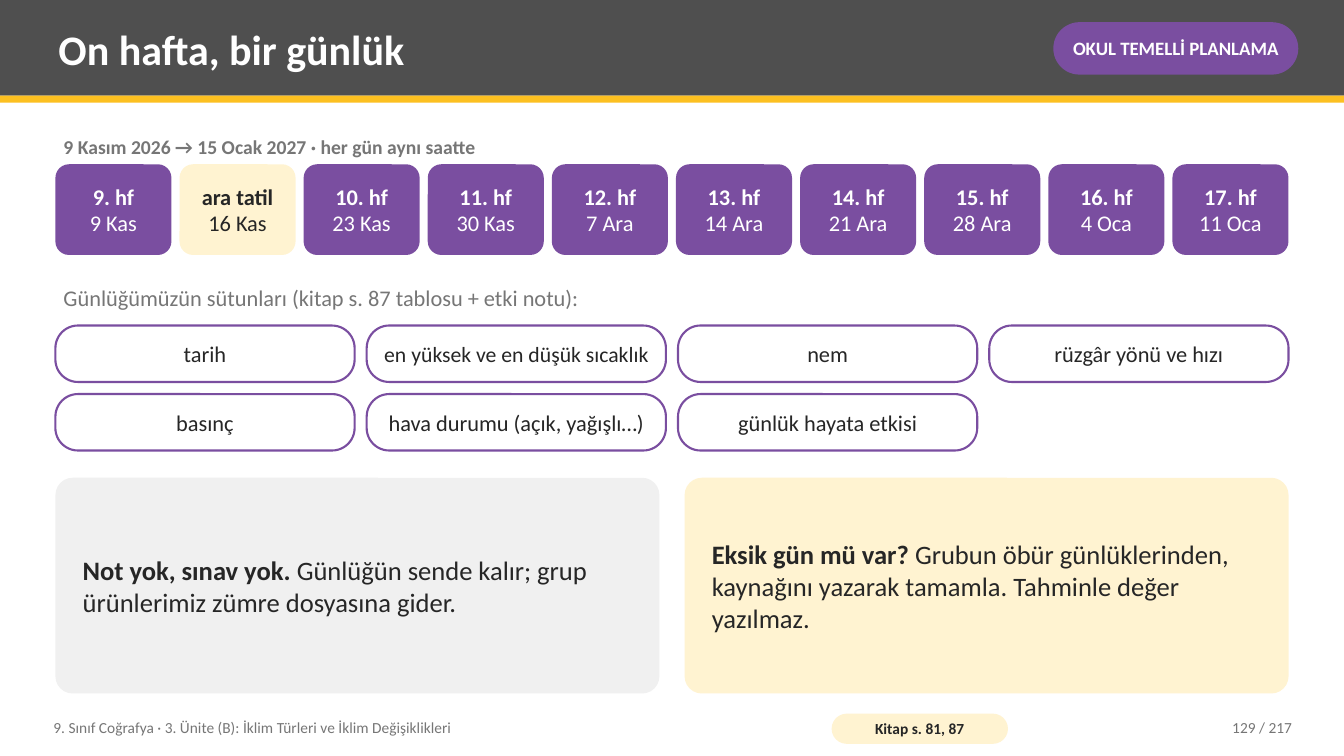
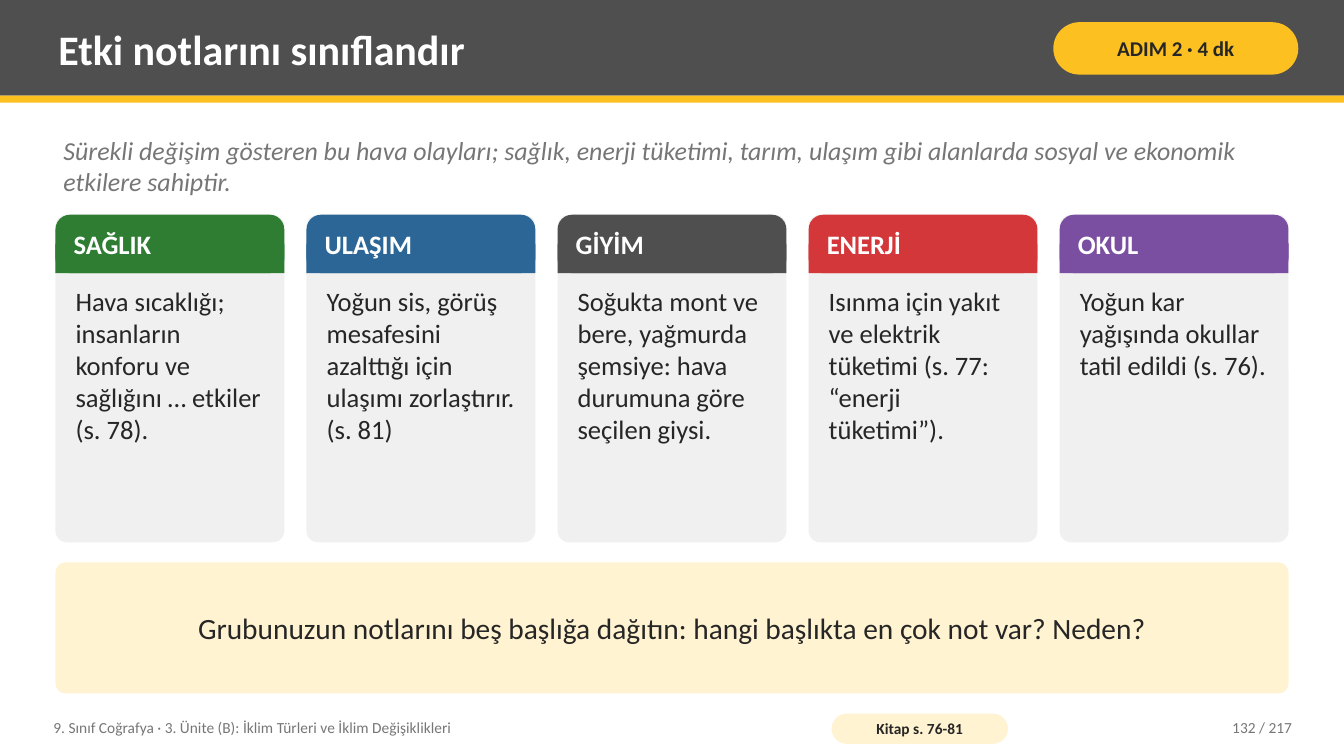
from dataclasses import dataclass

import pptx
import pptx.dml.color
import pptx.enum.shapes
import pptx.enum.text
import pptx.util

Pt = pptx.util.Pt
SHAPE = pptx.enum.shapes.MSO_SHAPE
ALIGN = pptx.enum.text.PP_ALIGN
ANCHOR = pptx.enum.text.MSO_ANCHOR


@dataclass(frozen=True)
class Theme:
    font: str = "Calibri"
    band: str = "4F4F4F"
    accent: str = "FCC021"
    purple: str = "7A4EA0"
    green: str = "2E7D32"
    blue: str = "2C6696"
    red: str = "D3373A"
    cream: str = "FFF3D1"
    panel: str = "F0F0F0"
    white: str = "FFFFFF"
    ink: str = "262626"
    muted: str = "767676"
    title: float = 30
    question: float = 21
    body: float = 19
    quote: float = 18.5
    label: float = 16
    tight_label: float = 15.5
    badge: float = 15
    tight_badge: float = 13.5
    dates: float = 14
    footer: float = 11


T = Theme()
WIDTH, HEIGHT = 960, 540
LEFT = 39.6
CONTENT = WIDTH - 2 * LEFT
TEXT_INSETS = (5.76, 2.88)
CARD_INSETS = (15.84, 5.76)


def write(shape, paragraphs, size, color, align=ALIGN.LEFT, anchor=ANCHOR.MIDDLE,
          insets=TEXT_INSETS):
    """Each paragraph is a list of (text, style) runs; style holds 'b' and/or 'i'."""
    frame = shape.text_frame
    frame.word_wrap = True
    frame.auto_size = pptx.enum.text.MSO_AUTO_SIZE.NONE
    frame.vertical_anchor = anchor
    frame.margin_left = frame.margin_right = Pt(insets[0])
    frame.margin_top = frame.margin_bottom = Pt(insets[1])
    for index, runs in enumerate(paragraphs):
        paragraph = frame.add_paragraph() if index else frame.paragraphs[0]
        paragraph.alignment = align
        for text, style in runs:
            run = paragraph.add_run()
            run.text = text
            run.font.name = T.font
            run.font.size = Pt(size)
            run.font.bold = "b" in style
            run.font.italic = "i" in style
            run.font.color.rgb = pptx.dml.color.RGBColor.from_string(color)


def block(slide, at, fill=None, radius=None, outline=None):
    """A text box without fill, else a rectangle, rounded when radius is given."""
    place = [Pt(length) for length in at]
    if fill is None:
        return slide.shapes.add_textbox(*place)
    kind = SHAPE.RECTANGLE if radius is None else SHAPE.ROUNDED_RECTANGLE
    shape = slide.shapes.add_shape(kind, *place)
    shape.shadow.inherit = False
    if radius is not None:
        shape.adjustments[0] = radius
    shape.fill.solid()
    shape.fill.fore_color.rgb = pptx.dml.color.RGBColor.from_string(fill)
    if outline:
        shape.line.color.rgb = pptx.dml.color.RGBColor.from_string(outline)
        shape.line.width = Pt(1.5)
    else:
        shape.line.fill.background()
    return shape


deck = pptx.Presentation()
deck.slide_width, deck.slide_height = Pt(WIDTH), Pt(HEIGHT)

# Shared frame: bands, title, badge and footer
frames = [
    ("On hafta, bir günlük", "OKUL TEMELLİ PLANLAMA", T.tight_badge, T.purple, T.white,
     "Kitap s. 81, 87", "129 / 217"),
    ("Etki notlarını sınıflandır", "ADIM 2 · 4 dk", T.badge, T.accent, T.ink,
     "Kitap s. 76-81", "132 / 217"),
]
unit = "9. Sınıf Coğrafya · 3. Ünite (B): İklim Türleri ve İklim Değişiklikleri"
slides = []
for heading, badge, badge_size, badge_fill, badge_ink, pages, number in frames:
    slide = deck.slides.add_slide(deck.slide_layouts[5])
    slides.append(slide)
    block(slide, (0, 0, WIDTH, 68.4), T.band)
    block(slide, (0, 68.4, WIDTH, 5.04), T.accent)

    title = slide.shapes.title
    title.left, title.top, title.width, title.height = Pt(36), Pt(5.04), Pt(702), Pt(59.04)
    write(title, [[(heading, "b")]], T.title, T.white)
    title.element.getparent().append(title.element)  # in front of the bands

    write(block(slide, (752.4, 15.84, 175, 37.44), badge_fill, 0.5), [[(badge, "b")]],
          badge_size, badge_ink, ALIGN.CENTER, insets=(3.6, 1.44))
    write(block(slide, (32.4, 506.88, 547.2, 25.92)), [[(unit, "")]], T.footer, T.muted)
    write(block(slide, (594, 509.76, 126, 21.6), T.cream, 0.5), [[(pages, "b")]],
          T.footer, T.ink, ALIGN.CENTER, insets=(2.88, 0))
    write(block(slide, (813.6, 506.88, 115.2, 25.92)), [[(number, "")]],
          T.footer, T.muted, ALIGN.RIGHT)

diary, impacts = slides

# Diary: week strip
write(block(diary, (LEFT, 93.6, 432, 23.04)),
      [[("9 Kasım 2026 → 15 Ocak 2027 · her gün aynı saatte", "b")]],
      T.dates, T.muted, anchor=ANCHOR.TOP)
weeks = [
    ("9. hf", "9 Kas"), ("ara tatil", "16 Kas"), ("10. hf", "23 Kas"),
    ("11. hf", "30 Kas"), ("12. hf", "7 Ara"), ("13. hf", "14 Ara"),
    ("14. hf", "21 Ara"), ("15. hf", "28 Ara"), ("16. hf", "4 Oca"), ("17. hf", "11 Oca"),
]
week_gap = 5.76
week_width = (CONTENT - week_gap * (len(weeks) - 1)) / len(weeks)
for index, (week, monday) in enumerate(weeks):
    fill, ink = (T.cream, T.ink) if week == "ara tatil" else (T.purple, T.white)
    x = LEFT + index * (week_width + week_gap)
    write(block(diary, (x, 117.36, week_width, 64.8), fill, 0.15),
          [[(week, "b")], [(monday, "")]], T.label, ink, ALIGN.CENTER, insets=(2.16, 5.76))

# Diary: column names
write(block(diary, (LEFT, 200.16, CONTENT, 28.8)),
      [[("Günlüğümüzün sütunları (kitap s. 87 tablosu + etki notu):", "")]],
      T.label, T.muted, anchor=ANCHOR.TOP)
fields = ["tarih", "en yüksek ve en düşük sıcaklık", "nem", "rüzgâr yönü ve hızı",
          "basınç", "hava durumu (açık, yağışlı…)", "günlük hayata etkisi"]
field_gap, field_height, per_row = 8.64, 40.32, 4
field_width = (CONTENT - field_gap * (per_row - 1)) / per_row
for index, field in enumerate(fields):
    row, column = divmod(index, per_row)
    x = LEFT + column * (field_width + field_gap)
    y = 232.56 + row * (field_height + field_gap)
    size = T.tight_label if len(field) > 28 else T.label
    write(block(diary, (x, y, field_width, field_height), T.white, 0.4, T.purple),
          [[(field, "")]], size, T.ink, ALIGN.CENTER, insets=(4.32, 0))

# Diary: two rules
rules = [
    (T.panel, "Not yok, sınav yok.",
     " Günlüğün sende kalır; grup ürünlerimiz zümre dosyasına gider."),
    (T.cream, "Eksik gün mü var?",
     " Grubun öbür günlüklerinden, kaynağını yazarak tamamla. Tahminle değer yazılmaz."),
]
rule_gap = 18
rule_width = (CONTENT - rule_gap) / 2
for index, (fill, lead, detail) in enumerate(rules):
    x = LEFT + index * (rule_width + rule_gap)
    write(block(diary, (x, 341.28, rule_width, 154.08), fill, 0.08),
          [[(lead, "b"), (detail, "")]], T.body, T.ink, insets=CARD_INSETS)

# Impacts: quotation
quote = ("Sürekli değişim gösteren bu hava olayları; sağlık, enerji tüketimi, tarım, "
         "ulaşım gibi alanlarda sosyal ve ekonomik etkilere sahiptir.")
write(block(impacts, (LEFT, 92.16, CONTENT, 51.84)), [[(quote, "i")]], T.quote, T.muted)

# Impacts: five categories
categories = [
    ("SAĞLIK", T.green, "Hava sıcaklığı; insanların konforu ve sağlığını … etkiler (s. 78)."),
    ("ULAŞIM", T.blue,
     "Yoğun sis, görüş mesafesini azalttığı için ulaşımı zorlaştırır. (s. 81)"),
    ("GİYİM", T.band,
     "Soğukta mont ve bere, yağmurda şemsiye: hava durumuna göre seçilen giysi."),
    ("ENERJİ", T.red, "Isınma için yakıt ve elektrik tüketimi (s. 77: “enerji tüketimi”)."),
    ("OKUL", T.purple, "Yoğun kar yağışında okullar tatil edildi (s. 76)."),
]
card_gap, card_top, head_height = 15.84, 153.36, 41.76
card_width = (CONTENT - card_gap * (len(categories) - 1)) / len(categories)
for index, (category, color, example) in enumerate(categories):
    x = LEFT + index * (card_width + card_gap)
    block(impacts, (x, card_top, card_width, 234), T.panel, 0.05)
    block(impacts, (x, card_top, card_width, head_height), color, 0.25)
    block(impacts, (x, card_top + head_height / 2, card_width, head_height / 2), color)
    write(block(impacts, (x + 7.2, card_top, card_width - 14.4, head_height)),
          [[(category, "b")]], T.body, T.white)
    write(block(impacts, (x + 8.64, 200.88, card_width - 17.28, 180.72)),
          [[(example, "")]], T.body, T.ink, anchor=ANCHOR.TOP)

# Impacts: group question
question = "Grubunuzun notlarını beş başlığa dağıtın: hangi başlıkta en çok not var? Neden?"
write(block(impacts, (LEFT, 401.76, CONTENT, 93.6), T.cream, 0.08), [[(question, "")]],
      T.question, T.ink, ALIGN.CENTER, insets=CARD_INSETS)

deck.save("out.pptx")
